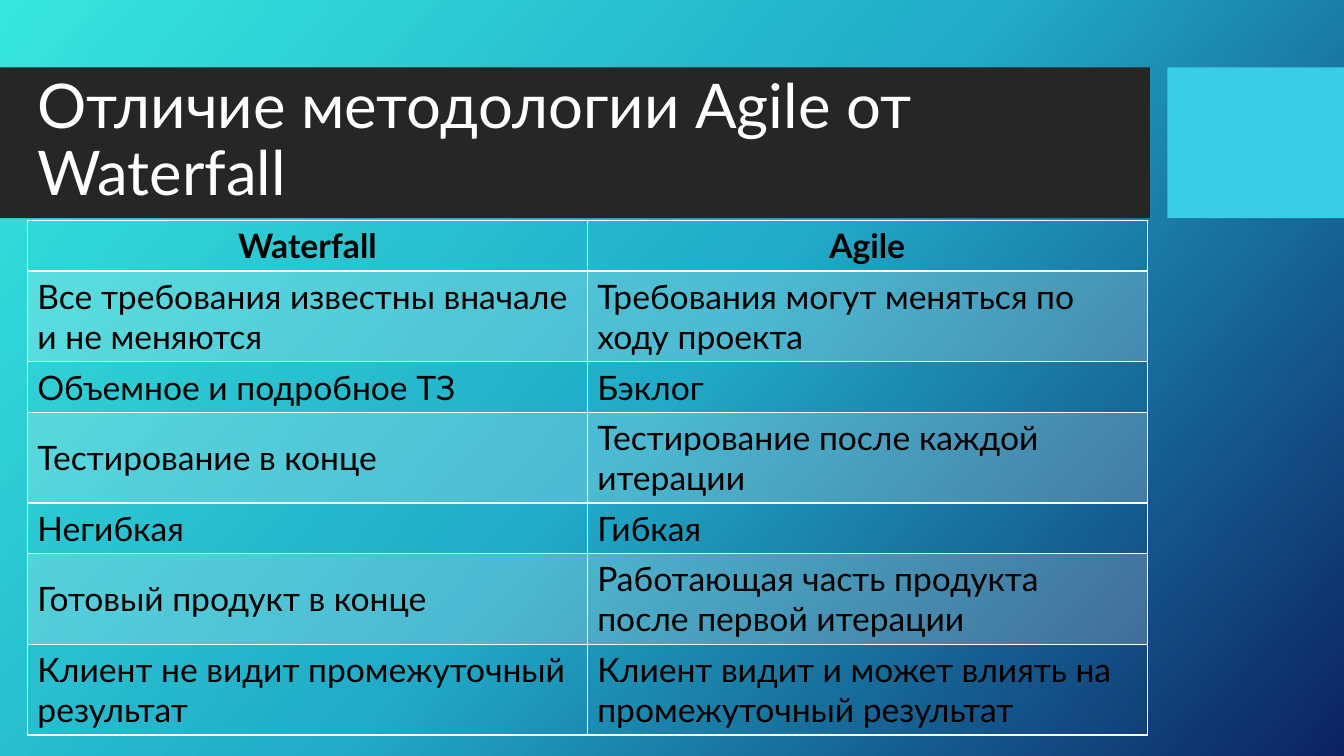
from copy import deepcopy

from lxml.etree import SubElement
from pptx import Presentation
from pptx.dml.color import RGBColor
from pptx.enum.shapes import MSO_SHAPE as SHAPE
from pptx.enum.text import MSO_ANCHOR as ANCHOR, PP_ALIGN as ALIGN
from pptx.oxml.ns import qn
from pptx.util import Cm, Pt

FONT = "Lato"
WHITE, BLACK, CHARCOAL, CYAN = "FFFFFF", "000000", "262626", "39CDE7"
STOPS = [(0, "36E6DD"), (0.5, "21ABC8"), (1, "0C2263")]
TITLE = "Отличие методологии Agile от Waterfall"
ROWS = [
    ("Waterfall", "Agile"),
    ("Все требования известны вначале и не меняются",
     "Требования могут меняться по ходу проекта"),
    ("Объемное и подробное ТЗ", "Бэклог"),
    ("Тестирование в конце", "Тестирование после каждой итерации"),
    ("Негибкая", "Гибкая"),
    ("Готовый продукт в конце",
     "Работающая часть продукта после первой итерации"),
    ("Клиент не видит промежуточный результат",
     "Клиент видит и может влиять на промежуточный результат"),
]


def rgb(value):
    """Turn a hex string into a colour."""
    return RGBColor.from_string(value)


def style(p, size, color, bold=False):
    """Set the font of a paragraph."""
    p.font.name, p.font.size, p.font.bold = FONT, Pt(size), bold
    p.font.color.rgb = rgb(color)


def paint_background(s):
    """Fill the slide with a diagonal three-colour gradient."""
    fill = s.background.fill
    fill.gradient()
    fill.gradient_angle = 360 - 42
    gs_list = next(s.background._cSld.iter(qn("a:gsLst")))
    gs_list.append(deepcopy(gs_list[-1]))
    for stop, (position, color) in zip(fill.gradient_stops, STOPS):
        stop.position = position
        stop.color.rgb = rgb(color)


def add_block(s, x, y, w, h, color):
    """Add a plain filled rectangle."""
    sp = s.shapes.add_shape(SHAPE.RECTANGLE, x, y, w, h)
    sp.shadow.inherit = False
    sp.fill.solid()
    sp.fill.fore_color.rgb = rgb(color)
    sp.line.fill.background()


def add_header(s, x, y, w, h):
    """Add the dark title band with its accent block on the right."""
    band_w, accent_w = Cm(28.98), Cm(4.45)
    add_block(s, x, y, band_w, h, CHARCOAL)
    add_block(s, x + w - accent_w, y, accent_w, h, CYAN)
    box = s.shapes.add_textbox(x + Cm(0.69), y + Cm(0.38), Cm(27.91), Cm(3))
    tf = box.text_frame
    tf.word_wrap = True
    tf.vertical_anchor = ANCHOR.MIDDLE
    p = tf.paragraphs[0]
    p.text, p.line_spacing = TITLE, 0.9
    style(p, 44, WHITE)


def set_border(cell, side, width, color):
    """Draw one border of a table cell."""
    ln = SubElement(cell._tc.get_or_add_tcPr(), qn("a:ln" + side), w=str(Pt(width)))
    fill = SubElement(ln, qn("a:solidFill"))
    SubElement(fill, qn("a:srgbClr"), val=color)


def shade(cell, color, opacity):
    """Fill a table cell with a translucent colour."""
    cell.fill.solid()
    cell.fill.fore_color.rgb = rgb(color)
    clr = next(cell._tc.tcPr.iterchildren(qn("a:solidFill")))[0]
    SubElement(clr, qn("a:alpha"), val=str(opacity * 1000))


def add_comparison(s, x, y, w, row_h):
    """Add the two-column table with every second row shaded."""
    frame = s.shapes.add_table(len(ROWS), 2, x, y, w, row_h * len(ROWS))
    table = frame.table
    table.horz_banding = False
    for i, row in enumerate(ROWS):
        table.rows[i].height = row_h
        for j, text in enumerate(row):
            cell = table.cell(i, j)
            cell.vertical_anchor = ANCHOR.MIDDLE
            for side in "LRTB":
                thick = (i, side) in [(0, "B"), (1, "T")]
                set_border(cell, side, 2 if thick else 1, WHITE)
            if i % 2:
                shade(cell, WHITE, 20)
            else:
                cell.fill.background()
            p = cell.text_frame.paragraphs[0]
            p.text = text
            p.alignment = ALIGN.LEFT if i else ALIGN.CENTER
            style(p, 24, BLACK, bold=i == 0)


def main():
    """Build the slide and save it."""
    prs = Presentation()
    prs.slide_width, prs.slide_height = Cm(33.87), Cm(19.05)
    s = prs.slides.add_slide(prs.slide_layouts[6])
    paint_background(s)
    add_header(s, 0, Cm(1.7), prs.slide_width, Cm(3.8))
    add_comparison(s, Cm(0.69), Cm(5.56), Cm(28.22), Cm(1.04))
    prs.save("out.pptx")


if __name__ == "__main__":
    main()
